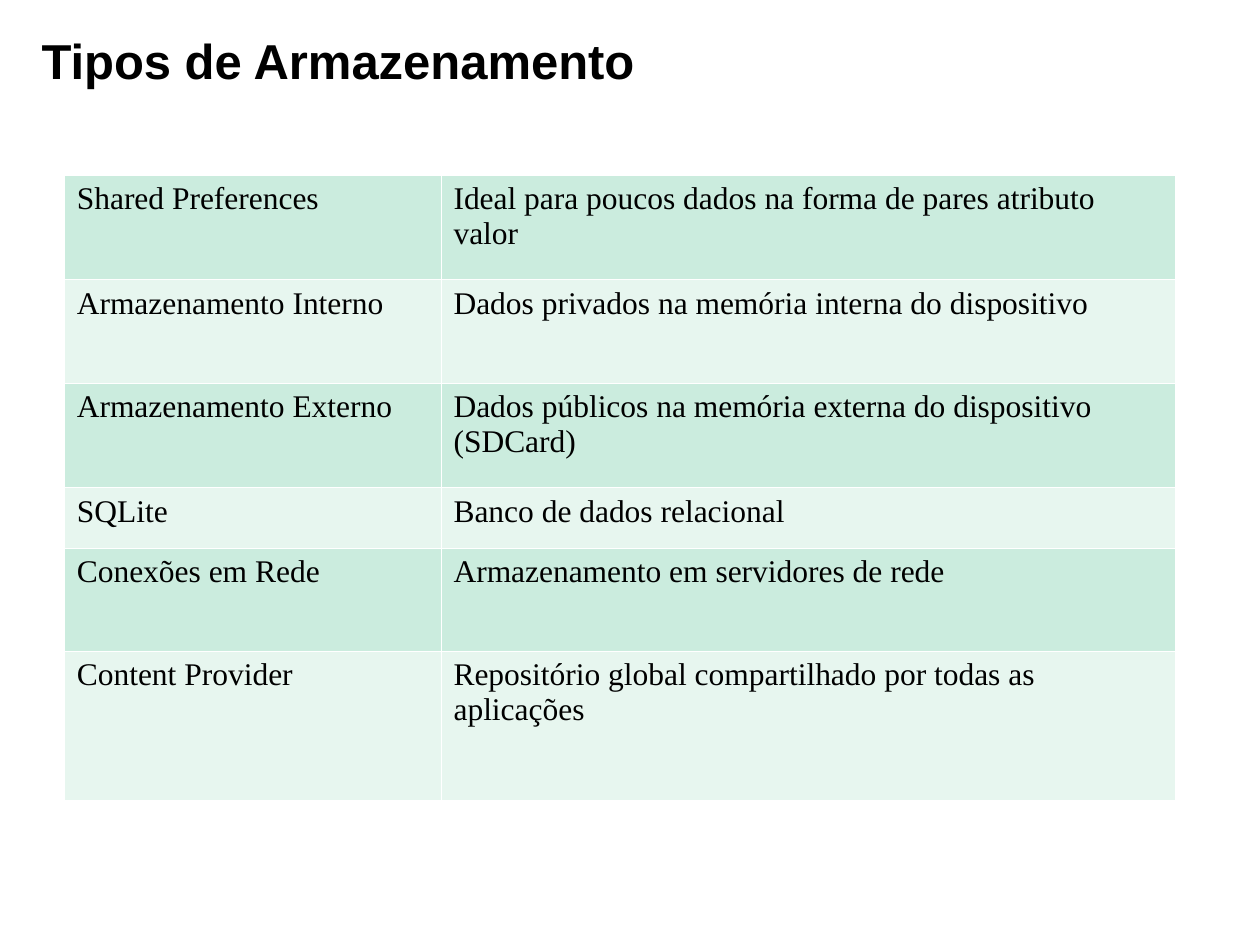
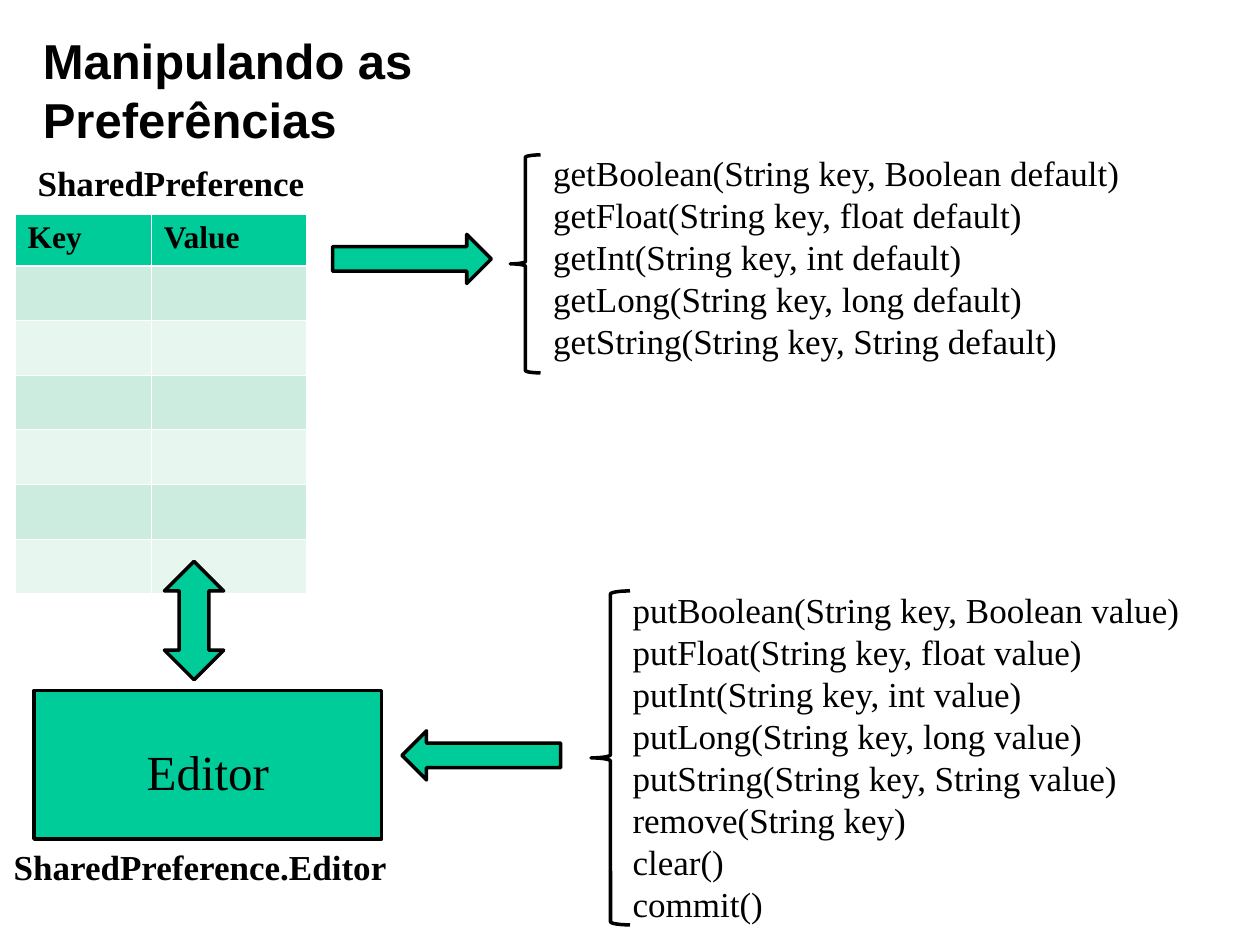
"""Build two slides on storage types and on handling preferences."""
from dataclasses import dataclass
from typing import Any, Optional

from lxml import etree
from pptx import Presentation
from pptx import util as u
from pptx.dml.color import RGBColor
from pptx.enum import shapes, text
from pptx.oxml.ns import qn

COLUMNS, ROWS = 100, 75
CELL = u.Inches(0.1)


@dataclass(frozen=True)
class Theme:
    """Colours, fonts and type sizes shared by the slides."""
    ink: str = "000000"
    accent: str = "00CC99"
    bands: tuple[str, str] = ("CBECDE", "E7F6EF")
    rule: str = "FFFFFF"
    heading: str = "Arial"
    serif: str = "Times New Roman"
    title_size: int = 28
    label_size: int = 20
    table_size: int = 18
    thin: float = 0.45
    thick: float = 1.47
    outline: float = 2


@dataclass(frozen=True)
class Box:
    """A place on the grid, in columns and rows."""
    left: float
    top: float
    width: float
    height: float

    def emu(self) -> tuple[int, ...]:
        """Return the place in slide units."""
        return tuple(grid(n) for n in (self.left, self.top, self.width, self.height))


@dataclass(frozen=True)
class TextStyle:
    """The look of a run of lines."""
    font: str
    size: float
    spacing: float
    bold: bool = False
    align: Any = text.PP_ALIGN.LEFT


@dataclass(frozen=True)
class TablePlan:
    """A table with its place, tracks and contents."""
    left: float
    top: float
    columns: tuple[float, ...]
    rows: tuple[float, ...]
    cells: tuple[tuple[str, ...], ...]
    header: bool = False


@dataclass(frozen=True)
class Figure:
    """A preset shape with its place."""
    kind: Any
    box: Box
    filled: bool = True
    curve: Optional[float] = None


THEME = Theme()
TITLE = TextStyle(THEME.heading, THEME.title_size, 33.6, bold=True)
LABEL = TextStyle(THEME.serif, THEME.label_size, 24, bold=True)
METHOD = TextStyle(THEME.serif, THEME.label_size, 24)
ENTRY = TextStyle(THEME.serif, THEME.table_size, 20)
HEADER = TextStyle(THEME.serif, THEME.table_size, 20, bold=True)
EDITOR = TextStyle(THEME.serif, THEME.title_size, 33.6, align=text.PP_ALIGN.CENTER)

STORAGE = TablePlan(5.1, 13.9, (29.9, 58.3), (8.3, 8.2, 8.3, 4.8, 8.2, 11.8), (
    ("Shared Preferences", "Ideal para poucos dados na forma de pares atributo valor"),
    ("Armazenamento Interno", "Dados privados na memória interna do dispositivo"),
    ("Armazenamento Externo", "Dados públicos na memória externa do dispositivo (SDCard)"),
    ("SQLite", "Banco de dados relacional"),
    ("Conexões em Rede", "Armazenamento em servidores de rede"),
    ("Content Provider", "Repositório global compartilhado por todas as aplicações"),
))
PAIRS = TablePlan(1.2, 17, (10.8, 12.3), (4.1,) + (4.34,) * 6,
                  (("Key", "Value"),) + (("", ""),) * 6, header=True)

LABELS = (
    ("SharedPreference", Box(2, 12.3, 23.3, 4.4)),
    ("SharedPreference.Editor", Box(0.1, 66.6, 31.7, 4.4)),
)
GETTERS = (
    "getBoolean(String key, Boolean default)",
    "getFloat(String key, float default)",
    "getInt(String key, int default)",
    "getLong(String key, long default)",
    "getString(String key, String default)",
)
SETTERS = (
    "putBoolean(String key, Boolean value)",
    "putFloat(String key, float value)",
    "putInt(String key, int value)",
    "putLong(String key, long value)",
    "putString(String key, String value)",
    "remove(String key)",
    "clear()",
    "commit()",
)
METHOD_LISTS = ((GETTERS, Box(42.9, 11.5, 50, 17.7)), (SETTERS, Box(49.2, 46.2, 50, 27.7)))

KIND = shapes.MSO_SHAPE
EDITOR_BOX = Figure(KIND.RECTANGLE, Box(2.7, 54.8, 27.6, 11.8))
FIGURES = (
    Figure(KIND.LEFT_BRACE, Box(40.5, 12.3, 2.4, 17.3), filled=False, curve=0.08),
    Figure(KIND.RIGHT_ARROW, Box(26.4, 18.6, 12.6, 3.9)),
    Figure(KIND.UP_DOWN_ARROW, Box(13.05, 44.55, 4.7, 9.4)),
    Figure(KIND.LEFT_BRACE, Box(46.9, 46.9, 3.1, 26.5), filled=False, curve=0.08),
    Figure(KIND.LEFT_ARROW, Box(31.9, 58, 12.6, 3.9)),
)


def grid(steps: float) -> int:
    """Turn grid steps into slide units."""
    return round(steps * CELL)


def apply(target: Any, values: dict[str, Any]) -> None:
    """Set each attribute named in the format values."""
    for name, value in values.items():
        setattr(target, name, value)


def write_lines(frame: Any, lines: tuple[str, ...], style: TextStyle, plain: bool = False) -> None:
    """Write one paragraph per line, without bullets when plain."""
    for index, line in enumerate(lines):
        paragraph = frame.add_paragraph() if index else frame.paragraphs[0]
        paragraph.text = line
        if plain:
            properties = paragraph._p.get_or_add_pPr()
            properties.set("marL", "0")
            properties.set("indent", "0")
            etree.SubElement(properties, qn("a:buNone"))
        apply(paragraph, {"alignment": style.align, "line_spacing": u.Pt(style.spacing),
                          "space_before": u.Pt(0)})
        font = paragraph.runs[0].font
        apply(font, {"name": style.font, "size": u.Pt(style.size), "bold": style.bold})
        font.color.rgb = RGBColor.from_string(THEME.ink)


def place_text(shape: Any, box: Box, lines: tuple[str, ...], style: TextStyle,
               wrap: bool = False, plain: bool = False) -> None:
    """Move a text holder to its box and write its lines."""
    apply(shape, dict(zip(("left", "top", "width", "height"), box.emu())))
    apply(shape.text_frame, {"word_wrap": wrap, "auto_size": text.MSO_AUTO_SIZE.NONE,
                             "vertical_anchor": text.MSO_ANCHOR.TOP})
    write_lines(shape.text_frame, lines, style, plain)


def add_border(cell: Any, side: str, width: float) -> None:
    """Draw one side of a cell in the rule colour."""
    line = etree.SubElement(cell._tc.get_or_add_tcPr(), qn(f"a:ln{side}"), w=str(u.Pt(width)))
    fill = etree.SubElement(line, qn("a:solidFill"))
    etree.SubElement(fill, qn("a:srgbClr"), val=THEME.rule)


def add_table(slide: Any, plan: TablePlan) -> None:
    """Add a banded table, with a thick rule below any header."""
    box = Box(plan.left, plan.top, sum(plan.columns), sum(plan.rows))
    table = slide.shapes.add_table(len(plan.rows), len(plan.columns), *box.emu()).table
    apply(table, {"first_row": plan.header, "horz_banding": False})
    for column, width in zip(table.columns, plan.columns):
        column.width = grid(width)
    for index, (row, height, words) in enumerate(zip(table.rows, plan.rows, plan.cells)):
        row.height = grid(height)
        is_header = plan.header and index == 0
        colour = THEME.accent if is_header else THEME.bands[(index - plan.header) % 2]
        thick_side = {0: "B", 1: "T"}.get(index) if plan.header else None
        for cell, word in zip(row.cells, words):
            for side in "LRTB":
                add_border(cell, side, THEME.thick if side == thick_side else THEME.thin)
            cell.fill.solid()
            cell.fill.fore_color.rgb = RGBColor.from_string(colour)
            if word:
                write_lines(cell.text_frame, (word,), HEADER if is_header else ENTRY)


def add_figure(slide: Any, figure: Figure) -> Any:
    """Add an outlined preset shape."""
    shape = slide.shapes.add_shape(figure.kind, *figure.box.emu())
    shape.shadow.inherit = False
    if figure.filled:
        shape.fill.solid()
        shape.fill.fore_color.rgb = RGBColor.from_string(THEME.accent)
    else:
        shape.fill.background()
    shape.line.color.rgb = RGBColor.from_string(THEME.ink)
    shape.line.width = u.Pt(THEME.outline)
    if figure.curve is not None:
        shape.adjustments[0] = figure.curve
    return shape


def add_slide(presentation: Any, layout: int, title: str, box: Box) -> Any:
    """Add a slide with its title."""
    slide = presentation.slides.add_slide(presentation.slide_layouts[layout])
    place_text(slide.shapes.title, box, (title,), TITLE)
    return slide


def build_storage(presentation: Any) -> None:
    """Build the slide that lists the storage types."""
    slide = add_slide(presentation, 5, "Tipos de Armazenamento", Box(2.3, 1.9, 49.2, 5.7))
    add_table(slide, STORAGE)


def build_preferences(presentation: Any) -> None:
    """Build the slide that shows how preferences are read and written."""
    slide = add_slide(presentation, 3, "Manipulando as Preferências", Box(2.4, 1.9, 55.7, 5.7))
    for index, (methods, box) in enumerate(METHOD_LISTS, start=1):
        place_text(slide.placeholders[index], box, methods, METHOD, wrap=True, plain=True)
    add_table(slide, PAIRS)
    for words, box in LABELS:
        place_text(slide.shapes.add_textbox(*box.emu()), box, (words,), LABEL)
    frame = add_figure(slide, EDITOR_BOX).text_frame
    apply(frame, {"vertical_anchor": text.MSO_ANCHOR.MIDDLE, "margin_top": grid(1.5)})
    write_lines(frame, ("Editor",), EDITOR)
    for figure in FIGURES:
        add_figure(slide, figure)


def main() -> None:
    """Build the slides and save them."""
    presentation = Presentation()
    apply(presentation, {"slide_width": grid(COLUMNS), "slide_height": grid(ROWS)})
    build_storage(presentation)
    build_preferences(presentation)
    presentation.save("out.pptx")


if __name__ == "__main__":
    main()
